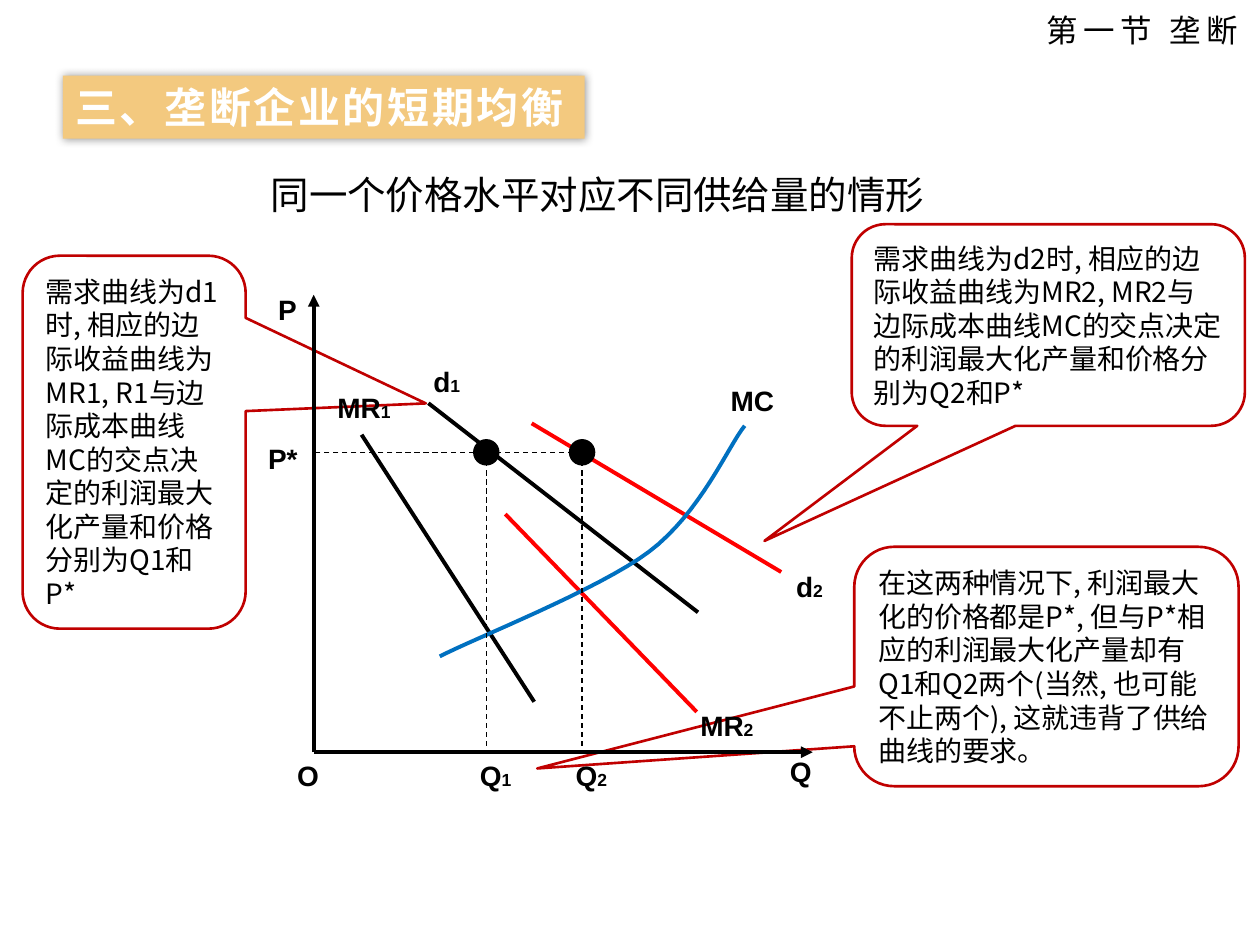
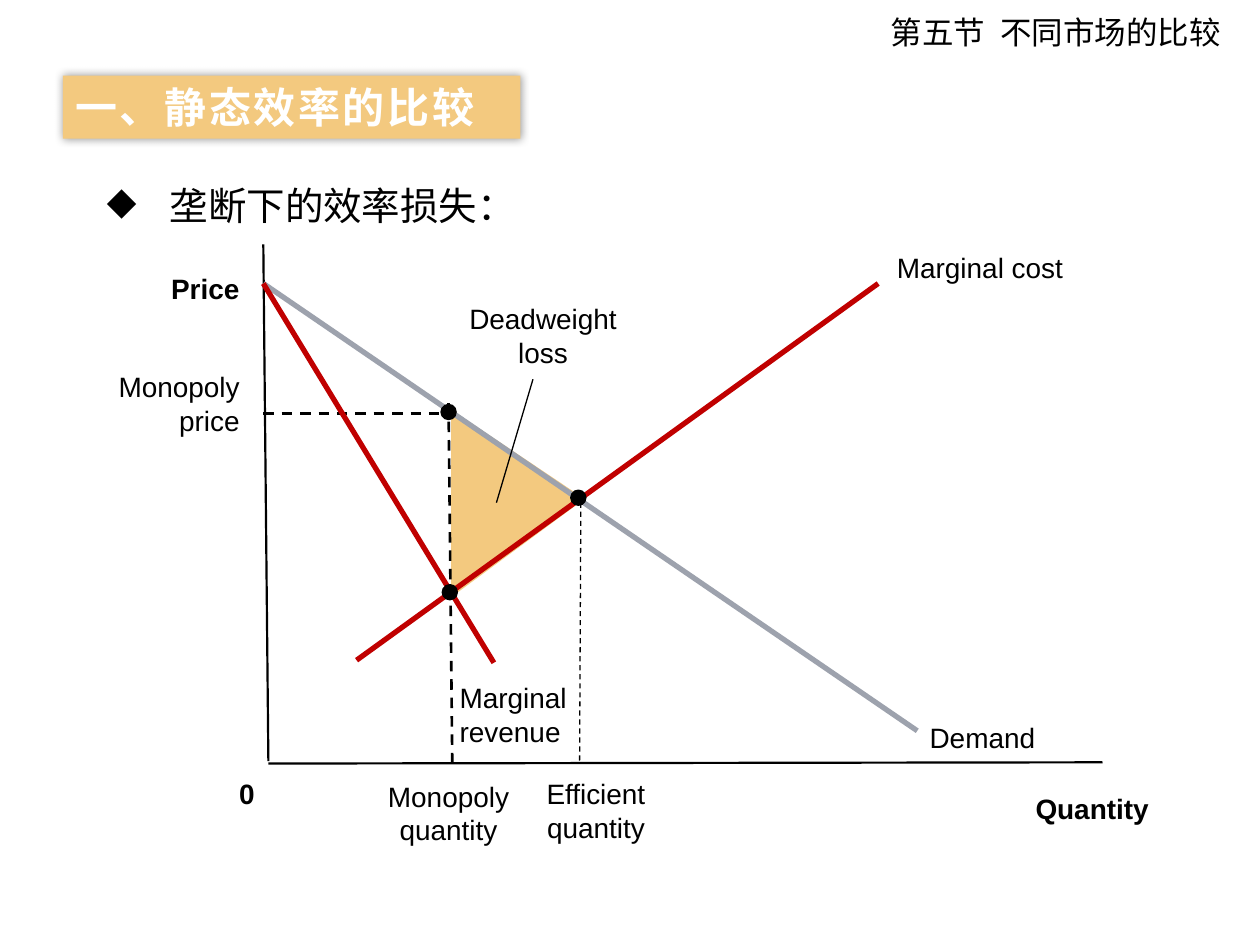
from lxml.etree import SubElement
from pptx import Presentation
from pptx.dml.color import RGBColor
from pptx.enum.dml import MSO_LINE
from pptx.enum.shapes import MSO_CONNECTOR, MSO_SHAPE
from pptx.enum.text import MSO_ANCHOR, PP_ALIGN
from pptx.oxml.ns import qn
from pptx.util import Inches, Pt

BLACK = RGBColor(0, 0, 0)
WHITE = RGBColor(255, 255, 255)
GOLD = RGBColor(0xF3, 0xC9, 0x7F)
CRIMSON = RGBColor(0xC0, 0, 0)
RED = RGBColor(255, 0, 0)
BLUE = RGBColor(0, 0x70, 0xC0)
GRAY = RGBColor(0x9D, 0xA2, 0xAD)

LATIN = "Arial"
HAN = "Noto Sans CJK SC"
LEFT, MID, RIGHT = PP_ALIGN.LEFT, PP_ALIGN.CENTER, PP_ALIGN.RIGHT


class Deck:
    """Style and current slide; lengths are columns and rows of the grid."""

    COLS, ROWS = 10, 7.5

    def __init__(self):
        self.prs = Presentation()
        self.prs.slide_width = Inches(10)
        self.prs.slide_height = Inches(7.5)
        self.slide = None

    def grid(self, *spans):
        """Turn alternating columns and rows into lengths."""
        units = (self.prs.slide_width / self.COLS, self.prs.slide_height / self.ROWS)
        return [round(span * units[i % 2]) for i, span in enumerate(spans)]

    def page(self, title, width):
        self.slide = self.prs.slides.add_slide(self.prs.slide_layouts[6])
        self.band(title, width)

    def run(self, para, text, size, font=LATIN, color=BLACK, bold=False, gap=0):
        run = para.add_run()
        run.text = text
        run.font.size, run.font.bold = Pt(size), bold
        run.font.color.rgb = color
        run.font.name = font
        props = run.font._element
        SubElement(props, qn("a:ea")).set("typeface", font)
        if gap:
            props.set("spc", str(round(gap * 100)))

    def frame(self, shape, align=LEFT, right=0.1):
        frame = shape.text_frame
        frame.word_wrap = True
        frame.vertical_anchor = MSO_ANCHOR.MIDDLE
        frame.margin_right = Inches(right)
        frame.paragraphs[0].alignment = align
        return frame

    def box(self, place, align=LEFT):
        shape = self.slide.shapes.add_textbox(*self.grid(*place))
        return self.frame(shape, align, 0 if align == LEFT else 0.1)

    def label(self, place, *lines, align=LEFT, bold=False, sub=""):
        frame = self.box(place, align)
        for i, line in enumerate(lines):
            para = frame.add_paragraph() if i else frame.paragraphs[0]
            para.alignment = align
            self.run(para, line, 16, bold=bold)
        if sub:
            self.run(para, sub, 10, bold=bold)

    def header(self, place, *parts):
        """Section name from (text, gap) parts."""
        para = self.box(place).paragraphs[0]
        for text, gap in parts:
            self.run(para, text, 18, HAN, gap=gap)

    def heading(self, place, text, bullet=""):
        para = self.box(place).paragraphs[0]
        props = para._p.get_or_add_pPr()
        props.set("marL", str(Inches(0.5)))
        props.set("indent", str(-Inches(0.5) if bullet else 0))
        if bullet:
            SubElement(props, qn("a:buChar")).set("char", bullet)
        self.run(para, text, 22, HAN)

    def shape(self, kind, place, fill, line=None, weight=0.75):
        shape = self.slide.shapes.add_shape(kind, *self.grid(*place))
        self.paint(shape, fill, line, weight)
        return shape

    def paint(self, shape, fill, line, weight):
        shape.shadow.inherit = False
        if fill is None:
            shape.fill.background()
        else:
            shape.fill.solid()
            shape.fill.fore_color.rgb = fill
        if line is None:
            shape.line.fill.background()
        else:
            shape.line.color.rgb = line
            shape.line.width = Pt(weight)

    def band(self, text, width):
        shape = self.shape(MSO_SHAPE.RECTANGLE, (0.5, 0.6, width, 0.5), GOLD)
        effects = shape._element.spPr.find(qn("a:effectLst"))
        glow = SubElement(effects, qn("a:outerShdw"), blurRad=str(Pt(5)),
                          dist="0", dir="0", algn="ctr", rotWithShape="0")
        tint = SubElement(glow, qn("a:srgbClr"), val=str(BLACK))
        SubElement(tint, qn("a:alpha"), val="40000")
        para = self.frame(shape, right=0).paragraphs[0]
        self.run(para, text, 24, HAN, WHITE, True, 1.5)

    def callout(self, place, tip, text):
        shape = self.shape(MSO_SHAPE.ROUNDED_RECTANGULAR_CALLOUT, place, WHITE, CRIMSON, 1.5)
        for i, value in enumerate((*tip, 0.167)):
            shape.adjustments[i] = value
        self.run(self.frame(shape).paragraphs[0], text, 16, HAN)

    def line(self, start, end, color=BLACK, weight=2.25, dash=False, arrow=False):
        line = self.slide.shapes.add_connector(MSO_CONNECTOR.STRAIGHT, *self.grid(*start, *end))
        line.line.color.rgb = color
        line.line.width = Pt(weight)
        if dash:
            line.line.dash_style = MSO_LINE.DASH
        if arrow:
            SubElement(line.line._get_or_add_ln(), qn("a:tailEnd")).set("type", "triangle")
        SubElement(line._element.spPr, qn("a:effectLst"))

    def dot(self, x, y, radius):
        place = (x - radius, y - radius, 2 * radius, 2 * radius)
        self.shape(MSO_SHAPE.OVAL, place, BLACK, BLACK)

    def outline(self, points, fill=None, line=None, close=False):
        first, *rest = [self.grid(*point) for point in points]
        maker = self.slide.shapes.build_freeform(*first)
        maker.add_line_segments(rest, close=close)
        self.paint(maker.convert_to_shape(), fill, line, 2.25)

    def curve(self, knots, color, steps=16):
        """Smooth line through cubic pieces: start, then two handles and an end."""
        points = [knots[0]]
        for i in range(0, len(knots) - 1, 3):
            for step in range(1, steps + 1):
                t = step / steps
                shares = ((1 - t) ** 3, 3 * t * (1 - t) ** 2, 3 * t * t * (1 - t), t ** 3)
                points.append([sum(s * knot[axis] for s, knot in zip(shares, knots[i:i + 4]))
                               for axis in (0, 1)])
        self.outline(points, line=color)


def balance(deck):
    """Short-run balance of a monopoly."""
    deck.page("三、垄断企业的短期均衡", 4.14)
    deck.header((8.21, 0.04, 1.79, 0.4), ("第一节 垄断", 3))
    deck.heading((1.55, 1.29, 5.92, 0.5), "同一个价格水平对应不同供给量的情形")

    # Remarks
    deck.callout((0.18, 2.03, 1.77, 2.96), (1.308, -0.104),
                 "需求曲线为d1时, 相应的边际收益曲线为MR1, R1与边际成本曲线MC的交点"
                 "决定的利润最大化产量和价格分别为Q1和P*")
    deck.callout((6.78, 4.34, 3.05, 1.9), (-1.325, 0.426),
                 "在这两种情况下, 利润最大化的价格都是P*, 但与P*相应的利润最大化产量"
                 "却有Q1和Q2两个(当然, 也可能不止两个), 这就违背了供给曲线的要求。")
    deck.callout((6.76, 1.78, 3.12, 1.6), (-0.722, 1.071),
                 "需求曲线为d2时, 相应的边际收益曲线为MR2, MR2与边际成本曲线MC的交点"
                 "决定的利润最大化产量和价格分别为Q2和P*")

    # Axes
    zero, price, base = (2.49, 5.97), 3.59, 5.94
    for end in ((2.49, 2.34), (6.45, 5.97)):
        deck.line(zero, end, arrow=True)

    # Demand, marginal revenue and marginal cost
    for start, end, color in (
        ((3.4, 3.2), (5.54, 4.86), BLACK),
        ((2.87, 3.45), (4.24, 5.57), BLACK),
        ((4.22, 3.36), (6.2, 4.54), RED),
        ((4.01, 4.08), (5.53, 5.65), RED),
    ):
        deck.line(start, end, color)
    deck.curve([(5.91, 3.38), (5.78, 3.54), (5.56, 4.07), (5.15, 4.38),
                (4.75, 4.68), (3.76, 5.07), (3.49, 5.21)], BLUE)

    # Price and output guides
    outputs = (3.86, 4.62)
    deck.line((outputs[1], price), (zero[0], price), weight=0.75, dash=True)
    for x in outputs:
        deck.line((x, price), (x, base), weight=0.75, dash=True)
        deck.dot(x, price, 0.1)

    # Names
    for x, y, width, name, sub in (
        (2.11, 2.27, 0.4, "P", ""), (2.26, 5.97, 0.4, "O", ""),
        (6.17, 5.94, 0.43, "Q", ""), (2.03, 3.45, 0.53, "P*", ""),
        (5.7, 2.99, 0.75, "MC", ""),
        (3.34, 2.84, 0.65, "d", "1"), (6.22, 4.47, 0.5, "d", "2"),
        (2.58, 3.05, 0.87, "MR", "1"), (5.46, 5.57, 0.8, "MR", "2"),
        (3.71, 5.97, 0.54, "Q", "1"), (4.47, 5.97, 0.65, "Q", "2"),
    ):
        deck.label((x, y, width, 0.37), name, bold=True, sub=sub)


def loss(deck):
    """Efficiency loss under monopoly."""
    deck.page("一、静态效率的比较", 3.63)
    deck.header((6.97, 0.05, 2.99, 0.4), ("第五节", 0), (" ", 4.5), ("不同市场的比较", 0))
    deck.heading((0.75, 1.38, 3.7, 0.5), "垄断下的效率损失：", "◆")

    # Loss area
    deck.outline([(3.58, 3.25), (3.58, 4.74), (4.64, 3.96)], GOLD, close=True)

    # Axes and guides
    for start, end, weight, dash in (
        ((2.13, 6.06), (8.75, 6.05), 1.25, False),
        ((2.13, 6.04), (2.09, 1.94), 1.25, False),
        ((4.61, 3.99), (4.6, 6.04), 0.75, True),
        ((2.09, 3.28), (3.58, 3.28), 1.5, True),
        ((3.56, 3.2), (3.59, 6.08), 1.5, True),
    ):
        deck.line(start, end, weight=weight, dash=dash)

    # Demand, marginal revenue and marginal cost
    top = (2.09, 2.25)
    deck.line(top, (7.28, 5.8), GRAY, 3)
    deck.line(top, (3.92, 5.26), CRIMSON, 3)
    deck.line((2.83, 5.24), (6.97, 2.25), CRIMSON, 3)
    deck.line((4.23, 3.01), (3.94, 3.99), weight=0.75)
    for x, y in ((3.57, 4.7), (4.59, 3.95), (3.56, 3.27)):
        deck.dot(x, y, 0.06)

    # Names
    for x, y, width, name in ((1.26, 2.1, 0.75, "Price"), (1.8, 6.11, 0.33, "0"),
                              (8.12, 6.23, 1.11, "Quantity")):
        deck.label((x, y, width, 0.37), name, bold=True)
    deck.label((7.28, 5.67, 1.1, 0.37), "Demand")
    deck.label((7.02, 1.94, 1.65, 0.37), "Marginal cost")
    for x, y, width, align, *lines in (
        (0.8, 2.88, 1.2, RIGHT, "Monopoly", "price"),
        (3.55, 5.35, 1.06, LEFT, "Marginal", "revenue"),
        (3.55, 2.34, 1.52, MID, "Deadweight", "loss"),
        (2.96, 6.13, 1.2, MID, "Monopoly", "quantity"),
        (4.18, 6.11, 1.1, MID, "Efficient", "quantity"),
    ):
        deck.label((x, y, width, 0.64), *lines, align=align)


def main():
    deck = Deck()
    balance(deck)
    loss(deck)
    deck.prs.save("out.pptx")


if __name__ == "__main__":
    main()
